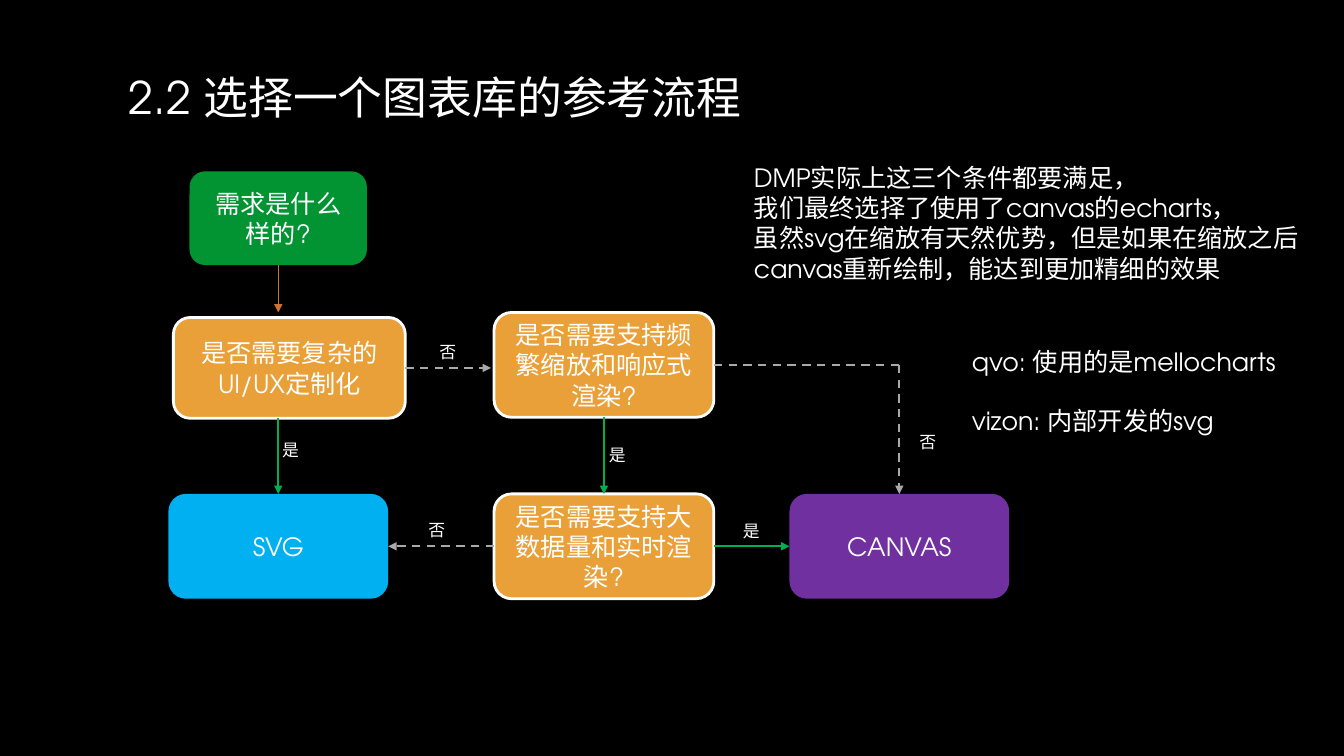
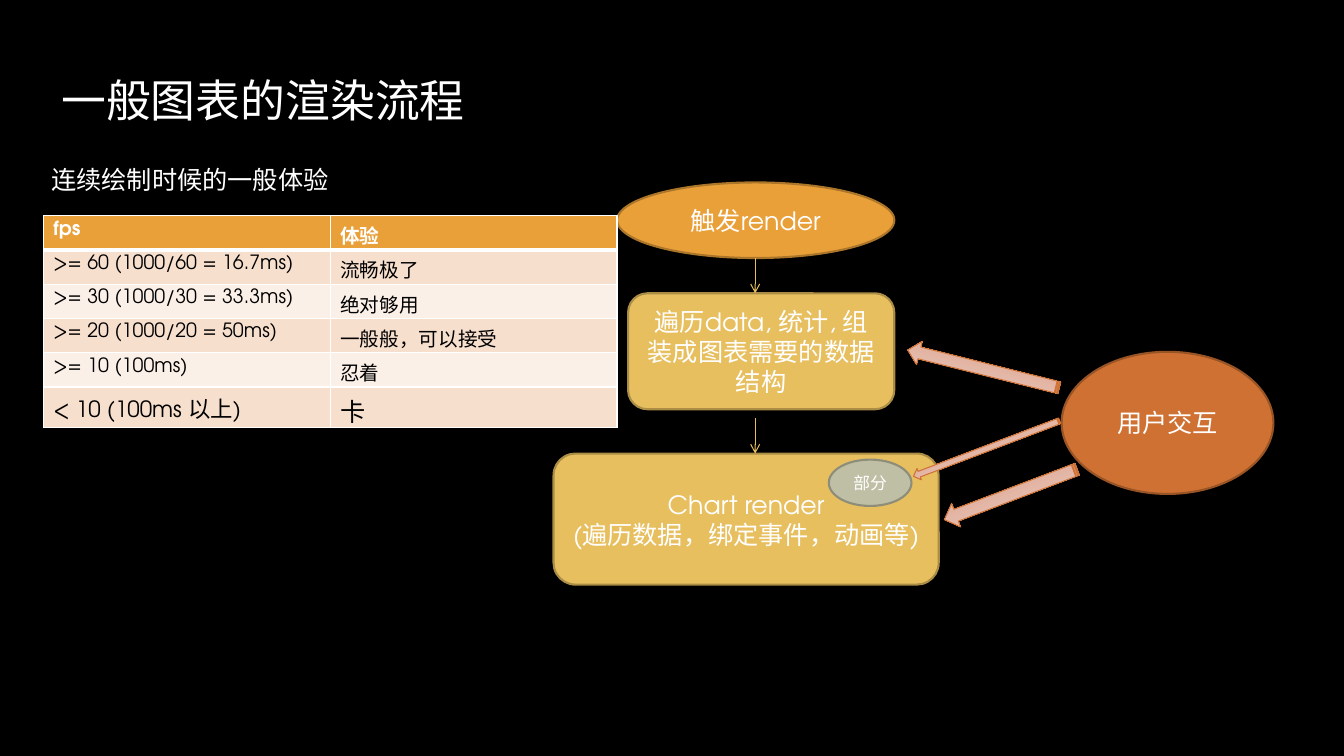
import dataclasses

import lxml.etree
import pptx
import pptx.dml.color
import pptx.enum.dml
import pptx.enum.shapes
import pptx.enum.text
import pptx.oxml.ns
import pptx.util

Inches = pptx.util.Inches
Pt = pptx.util.Pt
qn = pptx.oxml.ns.qn
Kind = pptx.enum.shapes.MSO_SHAPE
Align = pptx.enum.text.PP_ALIGN
Anchor = pptx.enum.text.MSO_ANCHOR

TOP, LEFT, BOTTOM, RIGHT = range(4)


@dataclasses.dataclass(frozen=True)
class Theme:
    font: str = "TeX Gyre Adventor"
    background: str = "000000"
    text: str = "FFFFFF"
    dark_text: str = "000000"
    start: str = "029433"
    question: str = "E9A039"
    question_edge: str = "AC762A"
    svg: str = "00B0F0"
    canvas: str = "7030A0"
    yes: str = "00B050"
    no: str = "A9A9A9"
    step: str = "E7BF5F"
    step_edge: str = "AB8D46"
    user: str = "CF7133"
    user_edge: str = "995426"
    partial: str = "BFBFA5"
    partial_edge: str = "8D8D7A"
    arrow_light: str = "EED4CC"
    arrow_dark: str = "D9987F"
    row_bands: tuple = ("F7DFCE", "FBF0E8")
    title_size: int = 32
    body_size: int = 18
    large_cell_size: int = 16
    cell_size: int = 14
    label_size: int = 12


THEME = Theme()


def rgb(color):
    return pptx.dml.color.RGBColor.from_string(color)


def add_run(paragraph, text, size, color=THEME.text, bold=False, east_asian=True):
    """Add one run; east_asian also sets the theme font for Chinese letters."""
    run = paragraph.add_run()
    run.text = text
    run.font.size = Pt(size)
    run.font.bold = bold
    run.font.name = THEME.font
    run.font.color.rgb = rgb(color)
    if east_asian:
        lxml.etree.SubElement(run.font._element, qn("a:ea"), typeface=THEME.font)


def write_lines(frame, lines, size, align=Align.LEFT):
    for number, line in enumerate(lines):
        paragraph = frame.add_paragraph() if number else frame.paragraphs[0]
        paragraph.alignment = align
        add_run(paragraph, line, size)


def add_text(slide, box, *lines, size=THEME.body_size, anchor=Anchor.TOP, wrap=True):
    frame = slide.shapes.add_textbox(*map(Inches, box)).text_frame
    frame.word_wrap = wrap
    frame.vertical_anchor = anchor
    write_lines(frame, lines, size)


def add_title(slide, box, title):
    add_text(slide, box, title, size=THEME.title_size, anchor=Anchor.MIDDLE)


def add_answer(slide, left, top, answer):
    add_text(slide, (left, top, 0.37, 0.3), answer, size=THEME.label_size, wrap=False)


def add_node(slide, box, *lines, fill, edge=None, edge_width=1.5,
             kind=Kind.ROUNDED_RECTANGLE, size=THEME.body_size):
    node = slide.shapes.add_shape(kind, *map(Inches, box))
    node.shadow.inherit = False
    node.fill.solid()
    node.fill.fore_color.rgb = rgb(fill)
    if edge:
        node.line.color.rgb = rgb(edge)
        node.line.width = Pt(edge_width)
    else:
        node.line.fill.background()
    node.text_frame.word_wrap = True
    node.text_frame.vertical_anchor = Anchor.MIDDLE
    write_lines(node.text_frame, lines, size, Align.CENTER)
    return node


def add_question(slide, box, question):
    return add_node(slide, box, question, fill=THEME.question, edge=THEME.text,
                    edge_width=2)


def add_flow(slide, start, end, color, width=1.5, dashed=False, head="triangle"):
    """Draw a line; each end is an (x, y) point or a (node, side) joint."""
    points = [(0, 0) if hasattr(place[0], "shape_type") else place
              for place in (start, end)]
    flow = slide.shapes.add_connector(
        pptx.enum.shapes.MSO_CONNECTOR.STRAIGHT,
        *(Inches(value) for point in points for value in point))
    for place, join in ((start, flow.begin_connect), (end, flow.end_connect)):
        if hasattr(place[0], "shape_type"):
            join(*place)
    flow.line.color.rgb = rgb(color)
    flow.line.width = Pt(width)
    if dashed:
        flow.line.dash_style = pptx.enum.dml.MSO_LINE.DASH
    if head:
        lxml.etree.SubElement(flow.get_or_add_ln(), qn("a:tailEnd"), type=head)
    lxml.etree.SubElement(flow._element.spPr, qn("a:effectLst"))


def add_interaction_arrow(slide, box, rotation):
    arrow = slide.shapes.add_shape(Kind.STRIPED_RIGHT_ARROW, *map(Inches, box))
    arrow.rotation = rotation
    arrow.shadow.inherit = False
    arrow.fill.gradient()
    arrow.fill.gradient_angle = 270
    for stop, color in zip(arrow.fill.gradient_stops,
                           (THEME.arrow_light, THEME.arrow_dark)):
        stop.color.rgb = rgb(color)
    arrow.line.color.rgb = rgb(THEME.user)
    arrow.line.width = Pt(0.75)


def set_borders(cell, bottom_width):
    widths = {"a:lnL": 1, "a:lnR": 1, "a:lnT": 1, "a:lnB": bottom_width}
    properties = cell._tc.get_or_add_tcPr()
    for position, (tag, width) in enumerate(widths.items()):
        border = lxml.etree.Element(qn(tag), w=str(Pt(width)))
        fill = lxml.etree.SubElement(border, qn("a:solidFill"))
        lxml.etree.SubElement(fill, qn("a:srgbClr"), val=THEME.text)
        properties.insert(position, border)


def add_fps_table(slide, box, rows):
    table = slide.shapes.add_table(len(rows), 2, *map(Inches, box)).table
    last = len(rows) - 1
    for number, texts in enumerate(rows):
        header = number == 0
        table.rows[number].height = Inches(0.4 if number == last else 0.34)
        sizes = ((THEME.large_cell_size, THEME.body_size) if number == last
                 else (THEME.cell_size, THEME.cell_size))
        for cell, text, size in zip(table.rows[number].cells, texts, sizes):
            cell.fill.solid()
            cell.fill.fore_color.rgb = rgb(
                THEME.question if header else THEME.row_bands[(number - 1) % 2])
            set_borders(cell, bottom_width=3 if header else 1)
            add_run(cell.text_frame.paragraphs[0], text, size,
                    color=THEME.text if header else THEME.dark_text,
                    bold=header, east_asian=False)


def build_library_choice(slide):
    add_title(slide, (1.18, 0.54, 10.28, 0.84), "2.2 选择一个图表库的参考流程")

    width, height, lower_top = 2.18, 1.04, 4.9
    needs = add_node(slide, (1.88, 1.7, 1.76, 0.93), "需求是什么样的?",
                     fill=THEME.start)
    custom = add_question(slide, (1.72, 3.15, 2.3, 1), "是否需要复杂的UI/UX定制化")
    scaling = add_question(slide, (4.9, 3.1, width, height),
                           "是否需要支持频繁缩放和响应式渲染?")
    svg = add_node(slide, (1.67, lower_top, width, height), "SVG", fill=THEME.svg)
    volume = add_question(slide, (4.9, lower_top, width, height),
                          "是否需要支持大数据量和实时渲染?")
    canvas = add_node(slide, (7.83, lower_top, width, height), "CANVAS",
                      fill=THEME.canvas)

    corner = (8.92, 3.62)
    add_flow(slide, (needs, BOTTOM), (2.76, 3.1), THEME.user, width=0.75)
    for start, end in (
        ((2.76, 4.15), (svg, TOP)),
        ((scaling, BOTTOM), (volume, TOP)),
        ((volume, RIGHT), (canvas, LEFT)),
    ):
        add_flow(slide, start, end, THEME.yes)
    for start, end, head in (
        ((custom, RIGHT), (4.87, 3.65), "triangle"),
        ((scaling, RIGHT), corner, None),
        (corner, (canvas, TOP), "triangle"),
        ((volume, LEFT), (svg, RIGHT), "triangle"),
    ):
        add_flow(slide, start, end, THEME.no, dashed=True, head=head)

    for left, top in ((2.7, 4.31), (5.94, 4.36), (7.27, 5.12)):
        add_answer(slide, left, top, "是")
    for left, top in ((4.26, 3.34), (4.15, 5.11), (9.02, 4.23)):
        add_answer(slide, left, top, "否")

    add_text(slide, (7.38, 1.56, 5.8, 1.31),
             "DMP实际上这三个条件都要满足，",
             "我们最终选择了使用了canvas的echarts，",
             "虽然svg在缩放有天然优势，但是如果在缩放之后canvas重新绘制，能达到更加精细的效果")
    add_text(slide, (9.54, 3.39, 3.29, 0.4), "qvo: 使用的是mellocharts")
    add_text(slide, (9.54, 3.97, 3.58, 0.4), "vizon: 内部开发的svg")


def build_render_flow(slide):
    add_title(slide, (0.51, 0.22, 10.28, 1.53), "一般图表的渲染流程")

    add_node(slide, (6.12, 1.81, 2.75, 0.75), "触发render", kind=Kind.OVAL,
             fill=THEME.question, edge=THEME.question_edge)
    add_node(slide, (6.23, 2.91, 2.64, 1.15),
             "遍历data, 统计, 组装成图表需要的数据结构",
             fill=THEME.step, edge=THEME.step_edge)
    add_node(slide, (5.49, 4.5, 3.82, 1.3),
             "Chart render", "(遍历数据，绑定事件，动画等)",
             fill=THEME.step, edge=THEME.step_edge)
    for top in (2.56, 4.15):
        add_flow(slide, (7.49, top), (7.49, top + 0.35), THEME.step, width=0.75,
                 head="arrow")

    add_node(slide, (10.53, 3.49, 2.1, 1.41), "用户交互", kind=Kind.OVAL,
             fill=THEME.user, edge=THEME.user_edge)
    for box, rotation in (
        ((8.98, 3.54, 1.55, 0.24), 194),
        ((9.32, 4.78, 1.41, 0.25), 159.2),
        ((9.01, 4.39, 1.55, 0.12), 159.2),
    ):
        add_interaction_arrow(slide, box, rotation)
    add_node(slide, (8.22, 4.56, 0.82, 0.46), "部分", kind=Kind.OVAL,
             fill=THEME.partial, edge=THEME.partial_edge, size=THEME.label_size)

    add_fps_table(slide, (0.43, 2.14, 5.69, 2.1), (
        ("fps", "体验"),
        (">= 60 (1000/60 = 16.7ms)", "流畅极了"),
        (">= 30 (1000/30 = 33.3ms)", "绝对够用"),
        (">= 20 (1000/20 = 50ms)", "一般般，可以接受"),
        (">= 10 (100ms)", "忍着"),
        ("< 10 (100ms 以上)", "卡"),
    ))
    add_text(slide, (0.41, 1.58, 2.98, 0.4), "连续绘制时候的一般体验", wrap=False)


def main():
    deck = pptx.Presentation()
    deck.slide_width, deck.slide_height = Inches(13.33), Inches(7.5)
    backdrop = deck.slide_master.background.fill
    backdrop.solid()
    backdrop.fore_color.rgb = rgb(THEME.background)
    for build in (build_library_choice, build_render_flow):
        build(deck.slides.add_slide(deck.slide_layouts[6]))
    deck.save("out.pptx")


if __name__ == "__main__":
    main()
